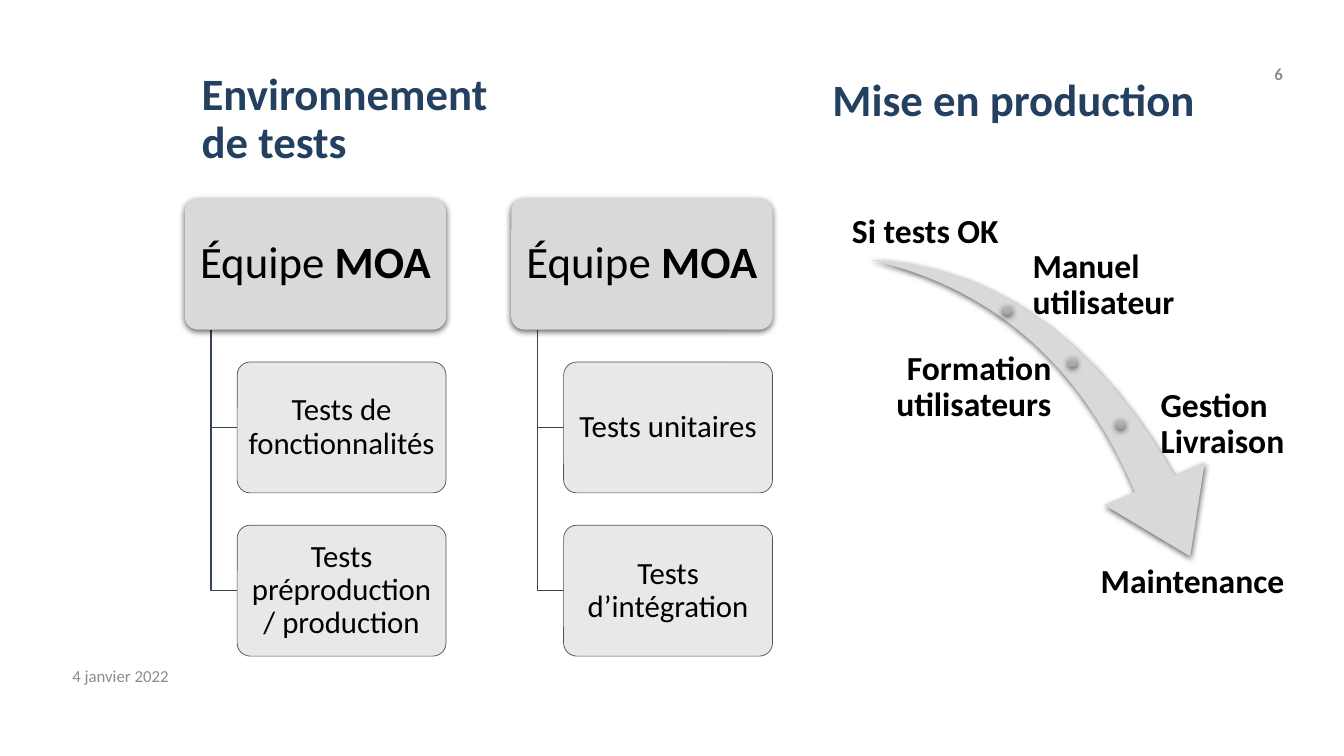
from dataclasses import dataclass

from lxml.etree import SubElement
from pptx import Presentation
from pptx.dml.color import RGBColor
from pptx.enum.shapes import MSO_SHAPE as Preset
from pptx.enum.text import MSO_ANCHOR as Anchor, MSO_AUTO_SIZE as Fit, PP_ALIGN as Align
from pptx.oxml.ns import qn
from pptx.util import Pt


@dataclass(frozen=True)
class Theme:
    font: str = "Calibri"
    heading: str = "244061"
    ink: str = "000000"
    muted: str = "8C8C8C"
    team: str = "D9D9D9"
    test: str = "E7E6E6"
    test_edge: str = "44546A"
    branch: str = "364355"
    dot: tuple = ("BABDC2", "9C9FA6")
    heading_size: int = 32
    step_size: int = 24
    test_size: int = 22
    small_size: int = 12


THEME = Theme()

# Tree grid, in points
TREE_LEFT, TREE_TOP = 132, 142
COLUMN_STEP, ROW_STEP = 233.2, 116.6
TEAM_WIDTH, BOX_HEIGHT = 186.6, 93.5
INDENT = 18.7

TEAMS = [
    ["Tests de fonctionnalités", "Tests préproduction / production"],
    ["Tests unitaires", "Tests d’intégration"],
]

# Steps along the arrow: text, position and size, alignment, anchor
STEPS = [
    ("Si tests OK", (597.6, 131.8, 126.7, 49.7), Align.CENTER, Anchor.BOTTOM),
    ("Manuel utilisateur", (735.1, 179.3, 151.9, 49.7), Align.LEFT, Anchor.MIDDLE),
    ("Formation utilisateurs", (606.5, 252, 146.9, 49.7), Align.RIGHT, Anchor.MIDDLE),
    ("Gestion Livraison", (826.6, 278.2, 113, 49.7), Align.LEFT, Anchor.MIDDLE),
    ("Maintenance", (766.1, 401, 171.4, 41), Align.CENTER, Anchor.TOP),
]
DOT_SIZE = 6.8
DOTS = [(716.3, 218.2), (762.5, 255.4), (797, 299.5)]


def rgb(code):
    return RGBColor.from_string(code)


def place(shape, area):
    shape.left, shape.top, shape.width, shape.height = map(Pt, area)


def write(shape, spans, size, color=THEME.ink, align=Align.LEFT,
          anchor=Anchor.MIDDLE, margins=(7.2, 3.6), spacing=0.9):
    """Fill a shape with one paragraph of (text, bold) spans."""
    frame = shape.text_frame
    frame.word_wrap = True
    frame.auto_size = Fit.NONE
    frame.vertical_anchor = anchor
    frame.margin_left = frame.margin_right = Pt(margins[0])
    frame.margin_top = frame.margin_bottom = Pt(margins[1])
    para = frame.paragraphs[0]
    para.alignment = align
    para.line_spacing = spacing
    for text, bold in spans:
        for number, line in enumerate(text.split("\n")):
            if number:
                para.add_line_break()
            span = para.add_run()
            span.text = line
            span.font.name = THEME.font
            span.font.size = Pt(size)
            span.font.bold = bold
            span.font.color.rgb = rgb(color)


def add_label(page, area, spans, size, **style):
    write(page.shapes.add_textbox(*map(Pt, area)), spans, size, **style)


def add_shape(page, preset, area, fill):
    shape = page.shapes.add_shape(preset, *map(Pt, area))
    shape.shadow.inherit = False
    shape.fill.solid()
    shape.fill.fore_color.rgb = rgb(fill)
    shape.line.fill.background()
    return shape


def add_shadow(shape):
    effects = shape.element.spPr.find(qn("a:effectLst"))
    shadow = SubElement(effects, qn("a:outerShdw"), blurRad=str(Pt(4.5)),
                        dist=str(Pt(1.5)), dir="5400000", algn="ctr", rotWithShape="0")
    color = SubElement(shadow, qn("a:srgbClr"), val="000000")
    SubElement(color, qn("a:alpha"), val="63000")


def add_box(page, area, spans, size, fill, margins):
    box = add_shape(page, Preset.ROUNDED_RECTANGLE, area, fill)
    box.adjustments[0] = 0.1
    write(box, spans, size, align=Align.CENTER, margins=margins)
    return box


def add_branch(page, left, top, bottom):
    """Draw the bent line from a team down and across to a test."""
    builder = page.shapes.build_freeform(Pt(left), Pt(top))
    builder.add_line_segments(
        [(Pt(left), Pt(bottom)), (Pt(left + INDENT), Pt(bottom))], close=False)
    branch = builder.convert_to_shape()
    branch.shadow.inherit = False
    branch.fill.background()
    branch.line.color.rgb = rgb(THEME.branch)
    branch.line.width = Pt(1)


def add_team(page, left, tests):
    for row, test in enumerate(tests, start=1):
        top = TREE_TOP + row * ROW_STEP
        add_branch(page, left + INDENT, TREE_TOP + BOX_HEIGHT, top + BOX_HEIGHT / 2)
        area = (left + 2 * INDENT, top, TEAM_WIDTH - 2 * INDENT, BOX_HEIGHT)
        # The rounded corners already inset the text, so the margins stay small
        box = add_box(page, area, [(test, False)], THEME.test_size, THEME.test, (3.4, 2))
        color = box.fill._xPr.find(qn("a:solidFill"))[0]
        SubElement(color, qn("a:alpha"), val="90000")
        box.line.color.rgb = rgb(THEME.test_edge)
        box.line.width = Pt(0.5)
    team = add_box(page, (left, TREE_TOP, TEAM_WIDTH, BOX_HEIGHT),
                   [("Équipe ", False), ("MOA", True)],
                   THEME.heading_size, THEME.team, (4.8, 3))
    add_shadow(team)


def add_arrow(page):
    arrow = add_shape(page, Preset.SWOOSH_ARROW, (615.6, 193.7, 268.6, 187.2), THEME.team)
    arrow.adjustments[0] = 0.163
    arrow.adjustments[1] = 0.314
    arrow.rotation = 73.3
    add_shadow(arrow)


def add_dot(page, left, top):
    dot = add_shape(page, Preset.OVAL, (left, top, DOT_SIZE, DOT_SIZE), THEME.dot[0])
    dot.fill.gradient()
    dot.fill.gradient_angle = 270
    for position, (stop, color) in enumerate(zip(dot.fill.gradient_stops, THEME.dot)):
        stop.color.rgb = rgb(color)
        stop.position = position
    add_shadow(dot)


def main():
    deck = Presentation()
    deck.slide_width, deck.slide_height = Pt(960), Pt(540)
    page = deck.slides.add_slide(deck.slide_layouts[5])

    # Headings
    title = page.shapes.title
    place(title, (136.8, 28.8, 750.2, 113.8))
    write(title, [("Environnement\nde tests", True)], THEME.heading_size, THEME.heading)
    add_label(page, (587.5, 15.8, 372.5, 113.8), [("Mise en production", True)],
              THEME.heading_size, color=THEME.heading)

    # Date and page number
    add_label(page, (44.6, 468.2, 324, 28.8), [("4 janvier 2022", False)],
              THEME.small_size, color=THEME.muted, spacing=1.0)
    add_label(page, (851.5, 40.3, 72, 24.5), [("6", True)],
              THEME.small_size, color=THEME.muted, align=Align.RIGHT, spacing=1.0)

    # Test teams
    for column, tests in enumerate(TEAMS):
        add_team(page, TREE_LEFT + column * COLUMN_STEP, tests)

    # Road to production
    add_arrow(page)
    for left, top in DOTS:
        add_dot(page, left, top)
    for text, area, align, anchor in STEPS:
        add_label(page, area, [(text, True)], THEME.step_size,
                  align=align, anchor=anchor, margins=(2.4, 2.4))

    deck.save("out.pptx")


if __name__ == "__main__":
    main()
